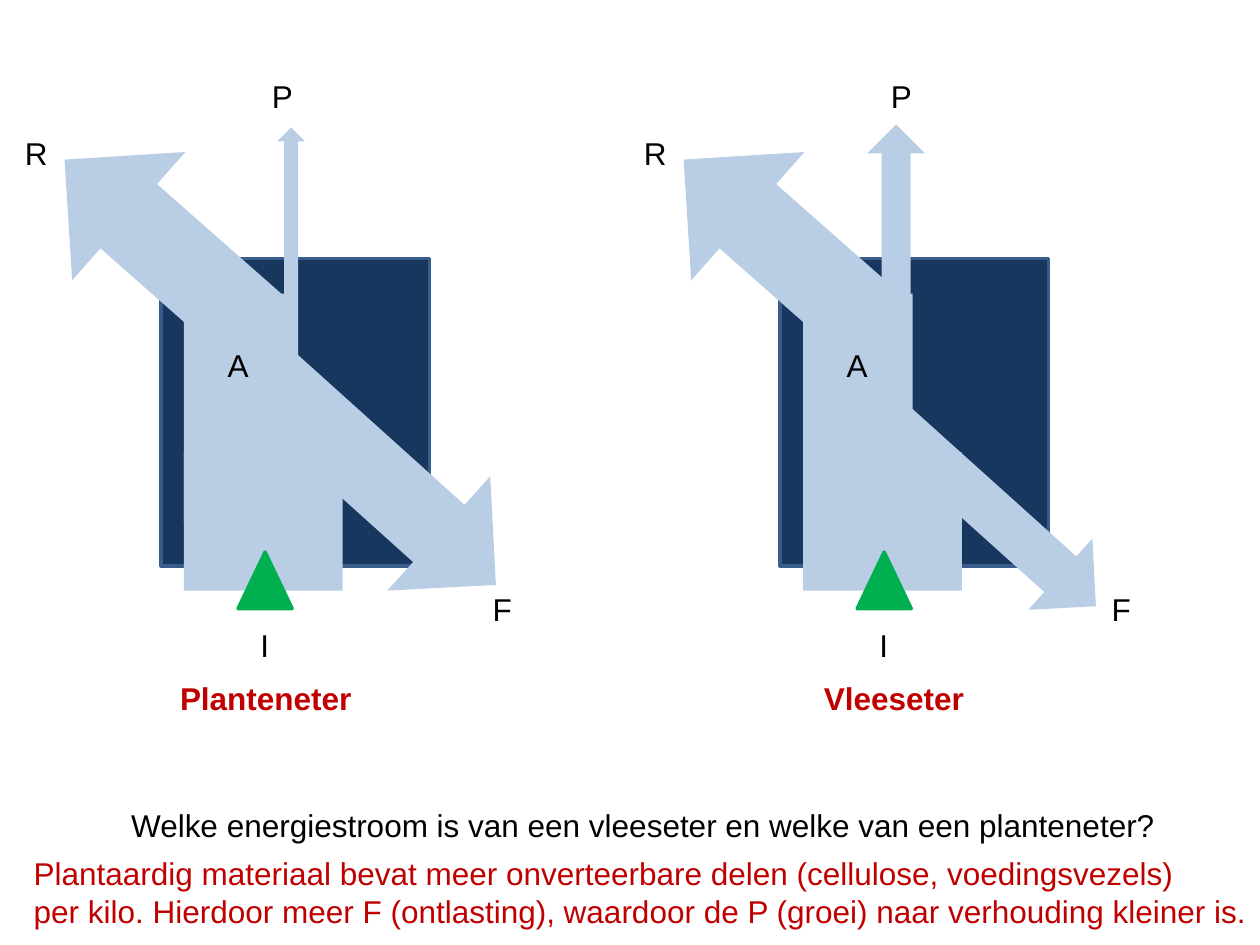
from dataclasses import dataclass

from pptx import Presentation
from pptx.dml.color import RGBColor
from pptx.enum import shapes, text
from pptx.util import Cm, Inches, Pt

SHAPE = shapes.MSO_SHAPE


@dataclass(frozen=True)
class Theme:
    """Colours, font and sizes of the slide."""
    font: str = "Arial"
    size: int = 18
    line: int = 2
    ink: str = "000000"
    accent: str = "C00000"
    body: str = "17375E"
    body_edge: str = "385D8A"
    flow: str = "B9CDE5"
    intake: str = "00B050"


THEME = Theme()


def write(sp, wording, color=THEME.ink, bold=False):
    """Fill a shape with left-aligned, unwrapped text."""
    tf = sp.text_frame
    tf.text = wording
    tf.word_wrap = False
    tf.auto_size = text.MSO_AUTO_SIZE.SHAPE_TO_FIT_TEXT
    tf.vertical_anchor = text.MSO_ANCHOR.TOP
    for p in tf.paragraphs:
        p.alignment = text.PP_ALIGN.LEFT
        for r in p.runs:
            r.font.name = THEME.font
            r.font.size = Pt(THEME.size)
            r.font.bold = bold
            r.font.color.rgb = RGBColor.from_string(color)


def add_text(s, wording, x, y, w, h=1.02, **style):
    """Add a text box measured in centimetres."""
    sp = s.shapes.add_textbox(Cm(x), Cm(y), Cm(w), Cm(h))
    write(sp, wording, **style)


def add_solid(s, kind, x, y, w, h, fill=THEME.flow, edge=None, angle=0):
    """Add a filled preset shape measured in centimetres."""
    sp = s.shapes.add_shape(kind, Cm(x), Cm(y), Cm(w), Cm(h))
    sp.shadow.inherit = False
    sp.rotation = angle
    sp.fill.solid()
    sp.fill.fore_color.rgb = RGBColor.from_string(fill)
    if edge:
        sp.line.color.rgb = RGBColor.from_string(edge)
        sp.line.width = Pt(THEME.line)
    else:
        sp.line.fill.background()


def add_energy_flow(s, x, y, name, name_box, growth, waste):
    """Draw one animal's energy flow from its top left corner."""
    add_solid(s, SHAPE.RECTANGLE, x + 3, y + 3.79, 5.41, 6.2,
              THEME.body, THEME.body_edge)
    flows = (
        (SHAPE.UP_ARROW, growth, 0),
        (SHAPE.UP_ARROW, (1.27, 0.92, 3.45, 5.18), 311.4),
        (SHAPE.DOWN_ARROW, waste, 312),
        (SHAPE.RECTANGLE, (3.46, 4.5, 2.21, 4.6), 0),
        (SHAPE.RECTANGLE, (3.46, 7.7, 3.2, 2.79), 0),
    )
    for kind, (dx, dy, w, h), angle in flows:
        add_solid(s, kind, x + dx, y + dy, w, h, angle=angle)
    labels = (
        ("R", 0, 1.15, 0.97),
        ("A", 4.09, 5.44, 0.91),
        ("F", 9.43, 10.34, 0.89),
        ("I", 4.75, 11.08, 0.69),
        ("P", 4.98, 0, 0.91),
    )
    for letter, dx, dy, w in labels:
        add_text(s, letter, x + dx, y + dy, w)
    add_solid(s, SHAPE.ISOSCELES_TRIANGLE, x + 4.55, y + 9.71, 1.09, 1.14,
              THEME.intake, THEME.intake)
    dx, w = name_box
    add_text(s, name, x + dx, y + 12.14, w, color=THEME.accent, bold=True)


def add_question(s, x, y):
    """Place the question in the title and the answer below it."""
    sp = s.shapes.title
    sp.left, sp.top, sp.width, sp.height = Cm(x + 1.96), Cm(y), Cm(21.16), Cm(1.02)
    write(sp, "Welke energiestroom is van een vleeseter en welke van een planteneter?")
    answer = (
        "Plantaardig materiaal bevat meer onverteerbare delen (cellulose, voedingsvezels)\n"
        "per kilo. Hierdoor meer F (ontlasting), waardoor de P (groei) naar verhouding kleiner is."
    )
    add_text(s, answer, x, y + 0.96, 24.97, 1.78, color=THEME.accent)


def main():
    """Build and save the slide."""
    prs = Presentation()
    prs.slide_width, prs.slide_height = Inches(10), Inches(7.5)
    s = prs.slides.add_slide(prs.slide_layouts[5])
    add_energy_flow(s, 0.25, 1.42, "Planteneter", (3.13, 3.96),
                    growth=(5.34, 1.15, 0.56, 5.77), waste=(5.82, 5.03, 3.1, 6.4))
    add_energy_flow(s, 12.73, 1.42, "Vleeseter", (3.63, 3.33),
                    growth=(4.75, 1.09, 1.17, 5.79), waste=(6.02, 5.46, 1.93, 6.4))
    add_question(s, 0.43, 16.13)
    prs.save("out.pptx")


if __name__ == "__main__":
    main()
